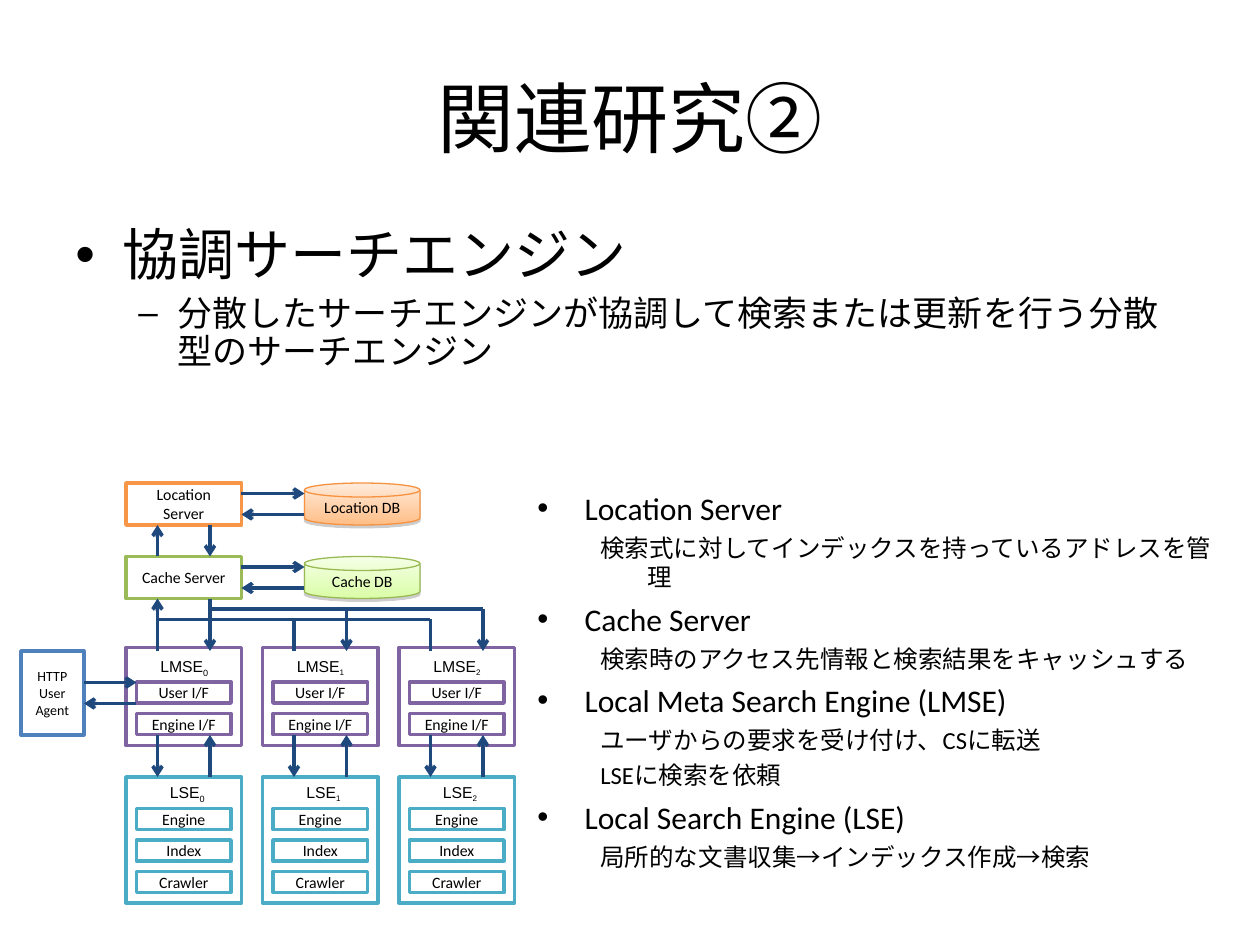
from lxml import etree
from pptx import Presentation
from pptx.dml.color import RGBColor
from pptx.enum.shapes import MSO_CONNECTOR, MSO_SHAPE
from pptx.enum.text import MSO_ANCHOR, PP_ALIGN
from pptx.oxml.ns import qn
from pptx.util import Pt

RECTANGLE, DISK = MSO_SHAPE.RECTANGLE, MSO_SHAPE.FLOWCHART_MAGNETIC_DISK
STRAIGHT = MSO_CONNECTOR.STRAIGHT
MIDDLE, TOP = MSO_ANCHOR.MIDDLE, MSO_ANCHOR.TOP
CENTER = PP_ALIGN.CENTER

COLORS = {
    "text": "000000", "white": "FFFFFF", "arrow": "1F497D", "shadow": "808080",
    "agent": "4F81BD", "location": "F79646", "cache": "9BBB59",
    "lmse": "8064A2", "lse": "4BACC6",
    "location_db": "F69240", "location_light": "FFEBDB", "location_dark": "FFBE86",
    "cache_db": "98B954", "cache_light": "F5FFE6", "cache_dark": "DAFDA7",
}

OVERVIEW = [
    (0, "協調サーチエンジン"),
    (1, "分散したサーチエンジンが協調して検索または更新を行う分散型のサーチエンジン"),
]
COMPONENTS = [
    (0, "Location Server"),
    (1, "検索式に対してインデックスを持っているアドレスを管理"),
    (0, "Cache Server"),
    (1, "検索時のアクセス先情報と検索結果をキャッシュする"),
    (0, "Local Meta Search Engine (LMSE)"),
    (1, "ユーザからの要求を受け付け、CSに転送"),
    (1, "LSEに検索を依頼"),
    (0, "Local Search Engine (LSE)"),
    (1, "局所的な文書収集→インデックス作成→検索"),
]
# Per level: size, left margin, first-line indent, space before, bullet
OVERVIEW_STYLES = [(32, 27, -27, 8, "•"), (20, 58.5, -22.5, 5, "–")]
COMPONENT_STYLES = [(18, 27, -27, 4.5, "•"), (14, 63, -27, 3.5, None)]

COLUMNS = [72, 150, 228]
WIDTH = 66
LOCATION_TOP, CACHE_TOP, SERVER_HEIGHT = 276, 318, 24
LMSE_TOP, LSE_TOP = 370, 444
DB_LEFT = 174
UP, DOWN = 18, 48  # arrow offsets inside a column
DOWN_BUS, UP_BUS = 348, 354


def color(name):
    return RGBColor.from_string(COLORS[name])


def set_font(font, size, name="Calibri"):
    font.size, font.name = Pt(size), name
    font.color.rgb = color("text")


def add_text_box(page, left, top, width, height, anchor=TOP):
    box = page.shapes.add_textbox(Pt(left), Pt(top), Pt(width), Pt(height))
    box.text_frame.word_wrap = True
    box.text_frame.vertical_anchor = anchor
    return box.text_frame


def add_title(page, text):
    frame = add_text_box(page, 36, 21.6, 648, 90, MIDDLE)
    para = frame.paragraphs[0]
    para.text, para.alignment = text, CENTER
    set_font(para.font, 44)


def add_list(page, bounds, items, styles, line_spacing=None):
    frame = add_text_box(page, *bounds)
    for index, (level, text) in enumerate(items):
        size, margin, indent, before, bullet = styles[level]
        para = frame.add_paragraph() if index else frame.paragraphs[0]
        para.text, para.level = text, level
        properties = para._p.get_or_add_pPr()
        properties.set("marL", str(Pt(margin)))
        properties.set("indent", str(Pt(indent)))
        if bullet:
            etree.SubElement(properties, qn("a:buFont"), typeface="Arial")
            etree.SubElement(properties, qn("a:buChar"), char=bullet)
        para.space_before, para.line_spacing = Pt(before), line_spacing
        set_font(para.font, size)


def add_box(page, left, top, width, height, line, text="", size=9,
            kind=RECTANGLE, line_width=2):
    box = page.shapes.add_shape(kind, Pt(left), Pt(top), Pt(width), Pt(height))
    box.shadow.inherit = False
    box.fill.solid()
    box.fill.fore_color.rgb = color("white")
    box.line.color.rgb = color(line)
    box.line.width = Pt(line_width)
    frame = box.text_frame
    frame.word_wrap, frame.vertical_anchor = True, MIDDLE
    if text:
        frame.text = text
        for para in frame.paragraphs:
            para.alignment = CENTER
            set_font(para.font, size)
    return box


def add_database(page, top, name, text):
    """Draw a disk with a vertical gradient and a small shadow below."""
    disk = add_box(page, DB_LEFT, top, WIDTH, SERVER_HEIGHT, name + "_db", text,
                   kind=DISK, line_width=0.75)
    disk.fill.gradient()
    disk.fill.gradient_angle = 270
    for stop, position, shade in zip(disk.fill.gradient_stops, (0, 1), ("_light", "_dark")):
        stop.position = position
        stop.color.rgb = color(name + shade)
    effects = disk._element.spPr.find(qn("a:effectLst"))
    shadow = etree.SubElement(effects, qn("a:outerShdw"), blurRad="0",
                              dist=str(Pt(1.6)), dir="5400000", rotWithShape="0")
    tint = etree.SubElement(shadow, qn("a:srgbClr"), val=COLORS["shadow"])
    etree.SubElement(tint, qn("a:alpha"), val="38000")


def add_label(page, left, top, width, text, index):
    """Write an engine name with its number as a subscript."""
    frame = add_text_box(page, left, top, width, 19)
    para = frame.paragraphs[0]
    for content, size in ((text, 9), (str(index), 8 if index else 9)):
        span = para.add_run()
        span.text = content
        set_font(span.font, size, "Arial")
    span.font._element.set("baseline", "-25000")


def add_line(page, x1, y1, x2, y2, arrow=True):
    line = page.shapes.add_connector(STRAIGHT, Pt(x1), Pt(y1), Pt(x2), Pt(y2))
    line.line.color.rgb = color("arrow")
    line.line.width = Pt(2)
    if arrow:
        etree.SubElement(line.line._get_or_add_ln(), qn("a:tailEnd"), type="arrow")
    etree.SubElement(line._element.spPr, qn("a:effectLst"))


def add_engine(page, left, top, height, name, index, label, parts, first_part):
    """Draw an engine; label is the bounds of its name, relative to the column."""
    line = name.lower()
    label_left, label_top, label_width = label
    add_box(page, left, top, WIDTH, height, line)
    add_label(page, left + label_left, label_top, label_width, name, index)
    for row, part in enumerate(parts):
        add_box(page, left + 6, first_part + 18 * row, 54, 12, line, part)


def add_servers(page):
    for top, name, title in ((LOCATION_TOP, "location", "Location"),
                             (CACHE_TOP, "cache", "Cache")):
        add_box(page, COLUMNS[0], top, WIDTH, SERVER_HEIGHT, name, title + " Server")
        add_database(page, top, name, title + " DB")
        right = COLUMNS[0] + WIDTH
        add_line(page, right, top + 6, DB_LEFT, top + 6)
        add_line(page, DB_LEFT, top + 18, right, top + 18)
    location_bottom = LOCATION_TOP + SERVER_HEIGHT
    add_line(page, COLUMNS[0] + UP, CACHE_TOP, COLUMNS[0] + UP, location_bottom)
    add_line(page, COLUMNS[0] + DOWN, location_bottom, COLUMNS[0] + DOWN, CACHE_TOP)


def add_engine_links(page):
    cache_bottom = CACHE_TOP + SERVER_HEIGHT
    for index, left in enumerate(COLUMNS):
        up, down = left + UP, left + DOWN
        add_line(page, up, 420, up, 444)
        add_line(page, down, 444, down, 420)
        add_line(page, down, DOWN_BUS if index else cache_bottom, down, 372)
        add_line(page, up, 372, up, UP_BUS if index else cache_bottom, arrow=index == 0)
    for offset, bus in ((DOWN, DOWN_BUS), (UP, UP_BUS)):
        add_line(page, COLUMNS[0] + offset, bus, COLUMNS[-1] + offset, bus, arrow=False)


def main():
    deck = Presentation()
    deck.slide_width, deck.slide_height = Pt(720), Pt(540)
    page = deck.slides.add_slide(deck.slide_layouts[6])
    add_title(page, "関連研究②")
    add_list(page, (36, 126, 648, 96), OVERVIEW, OVERVIEW_STYLES, 0.9)
    add_list(page, (300, 276, 408, 222), COMPONENTS, COMPONENT_STYLES)
    add_box(page, 12, 372, 36, 48, "agent", "HTTP\nUser\nAgent", 8)
    add_servers(page)
    for index, left in enumerate(COLUMNS):
        add_engine(page, left, LMSE_TOP, 56, "LMSE", index, (12.5, 371.5, 46),
                   ("User I/F", "Engine I/F"), 389.75)
        add_engine(page, left, LSE_TOP, 72, "LSE", index, (18, 443.5, 38),
                   ("Engine", "Index", "Crawler"), 462)
    add_engine_links(page)
    add_line(page, 48, 390, 78, 390)
    add_line(page, 78, 402, 48, 402)
    deck.save("out.pptx")


if __name__ == "__main__":
    main()
